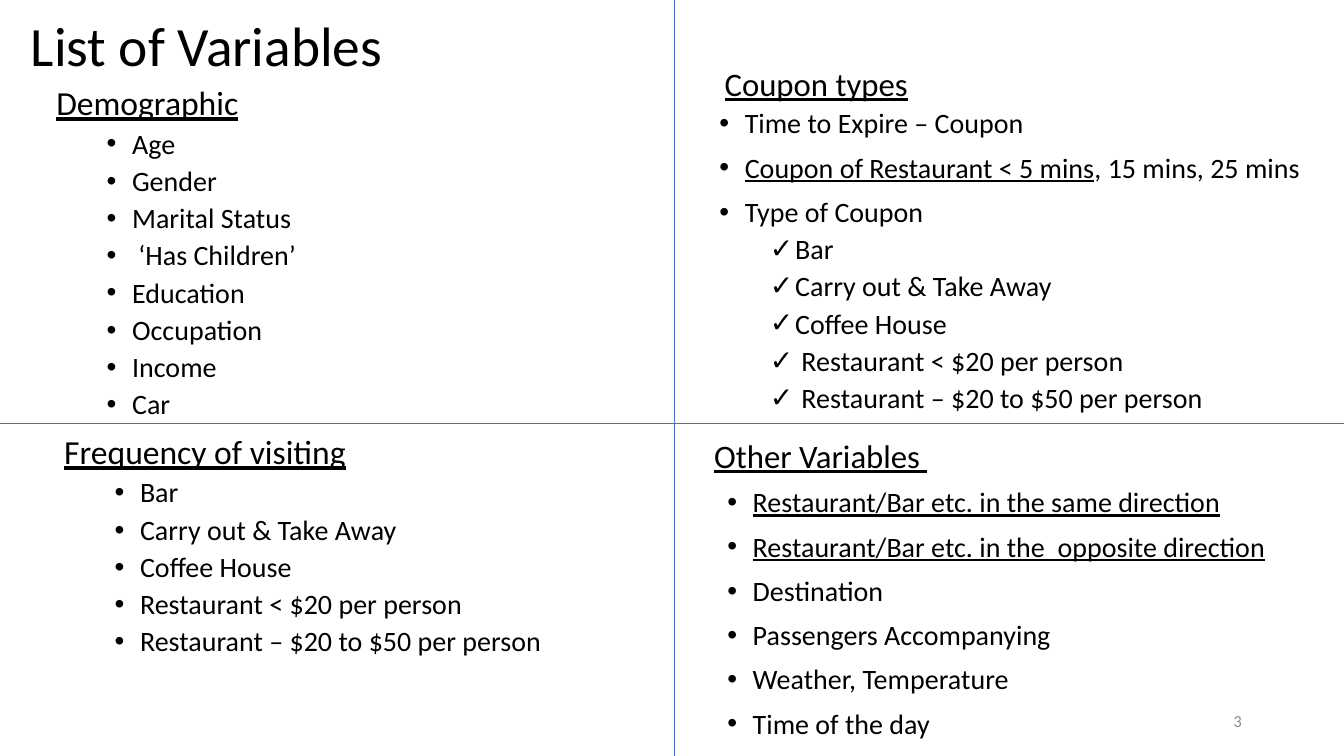
from dataclasses import dataclass

from lxml.etree import SubElement
from pptx import Presentation
from pptx.dml.color import RGBColor
from pptx.enum.shapes import MSO_CONNECTOR
from pptx.enum.text import MSO_ANCHOR, PP_ALIGN
from pptx.oxml.ns import qn
from pptx.slide import Slide
from pptx.util import Cm, Pt


@dataclass(frozen=True)
class Theme:
    font: str = "Calibri"
    bullet_font: str = "Arial"
    ink: RGBColor = RGBColor(0x00, 0x00, 0x00)
    muted: RGBColor = RGBColor(0x8C, 0x8C, 0x8C)
    divider: RGBColor = RGBColor(0x44, 0x72, 0xC4)
    title_size: float = 39.6
    list_heading_size: float = 24
    heading_size: float = 23.4
    item_size: float = 20
    number_size: float = 12
    divider_width: float = 0.5


THEME = Theme()


@dataclass(frozen=True)
class Span:
    text: str
    underline: bool = False


@dataclass(frozen=True)
class Line:
    spans: tuple[Span, ...]
    size: float = THEME.item_size
    color: RGBColor = THEME.ink
    bullet: str = ""
    indent: float = 0
    space_before: float = 10
    spacing: float = 0.9
    align: PP_ALIGN = PP_ALIGN.LEFT


@dataclass(frozen=True)
class TextBlock:
    left: float
    top: float
    width: float
    height: float
    lines: tuple[Line, ...]
    anchor: MSO_ANCHOR = MSO_ANCHOR.TOP


@dataclass(frozen=True)
class Divider:
    start: tuple[float, float]
    end: tuple[float, float]


PAGE_WIDTH, PAGE_HEIGHT = 33.87, 19.05
LIST_HEIGHT = 7.44
HEADING_WIDTH, HEADING_HEIGHT = 8.94, 1.37
MIDDLE_X, MIDDLE_Y = 16.99, 10.67
LOWER_TOP = 10.85
BULLET_HANG = 0.64


def heading(text: str, size: float = THEME.heading_size) -> Line:
    return Line((Span(text, underline=True),), size)


def item(*spans: Span) -> Line:
    return Line(spans, bullet="•", indent=0.64)


def sub_items(texts: tuple[str, ...], bullet: str = "•") -> tuple[Line, ...]:
    return tuple(Line((Span(text),), bullet=bullet, indent=1.91, space_before=5)
                 for text in texts)


def heading_block(left: float, top: float, text: str) -> TextBlock:
    return TextBlock(left, top, HEADING_WIDTH, HEADING_HEIGHT, (heading(text),),
                     MSO_ANCHOR.MIDDLE)


VENUES = ("Bar", "Carry out & Take Away", "Coffee House")
RESTAURANTS = ("Restaurant < $20 per person", "Restaurant – $20 to $50 per person")

BLOCKS = (
    TextBlock(0.53, 0.53, 29.21, HEADING_HEIGHT,
              (Line((Span("List of Variables"),), THEME.title_size),),
              MSO_ANCHOR.MIDDLE),
    TextBlock(1.17, 2.06, 12.52, LIST_HEIGHT, (
        heading("Demographic", THEME.list_heading_size),
        *sub_items(("Age", "Gender", "Marital Status", " ‘Has Children’",
                    "Education", "Occupation", "Income", "Car")),
    )),
    heading_block(18.01, 1.47, "Coupon types"),
    TextBlock(17.88, 2.64, 16.1, LIST_HEIGHT, (
        item(Span("Time to Expire – Coupon")),
        item(Span("Coupon of Restaurant < 5 mins", underline=True),
             Span(", 15 mins, 25 mins")),
        item(Span("Type of Coupon")),
        *sub_items(VENUES + tuple(f" {name}" for name in RESTAURANTS), "✓"),
    )),
    TextBlock(1.37, LOWER_TOP, 14.76, LIST_HEIGHT, (
        heading("Frequency of visiting", THEME.list_heading_size),
        *sub_items(VENUES + RESTAURANTS),
    )),
    heading_block(17.75, LOWER_TOP, "Other Variables "),
    TextBlock(18.08, 12.19, 14.45, LIST_HEIGHT, (
        item(Span("Restaurant/Bar etc. in the same direction", underline=True)),
        item(Span("Restaurant/Bar etc. in the  opposite direction", underline=True)),
        item(Span("Destination")),
        item(Span("Passengers Accompanying")),
        item(Span("Weather, Temperature")),
        item(Span("Time of the day")),
    )),
    TextBlock(23.93, 17.65, 7.62, 1.02,
              (Line((Span("3"),), THEME.number_size, THEME.muted,
                    spacing=1.0, align=PP_ALIGN.RIGHT),),
              MSO_ANCHOR.MIDDLE),
)

DIVIDERS = (
    Divider((MIDDLE_X, 0), (MIDDLE_X, PAGE_HEIGHT)),
    Divider((0, MIDDLE_Y), (PAGE_WIDTH, MIDDLE_Y)),
)


def add_bullet(paragraph, line: Line) -> None:
    """Give the paragraph a bullet character with a hanging indent."""
    properties = paragraph._p.get_or_add_pPr()
    properties.set("marL", str(Cm(line.indent)))
    properties.set("indent", str(-Cm(BULLET_HANG)))
    SubElement(properties, qn("a:buFont"), typeface=THEME.bullet_font)
    SubElement(properties, qn("a:buChar"), char=line.bullet)


def add_text_block(page: Slide, block: TextBlock) -> None:
    box = page.shapes.add_textbox(Cm(block.left), Cm(block.top),
                                  Cm(block.width), Cm(block.height))
    frame = box.text_frame
    frame.word_wrap = True
    frame.vertical_anchor = block.anchor
    for index, line in enumerate(block.lines):
        paragraph = frame.add_paragraph() if index else frame.paragraphs[0]
        paragraph.alignment = line.align
        paragraph.line_spacing = line.spacing
        if index:
            paragraph.space_before = Pt(line.space_before)
        if line.bullet:
            add_bullet(paragraph, line)
        paragraph.font.name = THEME.font
        paragraph.font.size = Pt(line.size)
        paragraph.font.color.rgb = line.color
        for span in line.spans:
            run = paragraph.add_run()
            run.text = span.text
            if span.underline:
                run.font.underline = True


def add_divider(page: Slide, divider: Divider) -> None:
    connector = page.shapes.add_connector(
        MSO_CONNECTOR.STRAIGHT,
        *(Cm(value) for value in divider.start + divider.end))
    connector.line.color.rgb = THEME.divider
    connector.line.width = Pt(THEME.divider_width)
    SubElement(connector._element.spPr, qn("a:effectLst"))


def main() -> None:
    deck = Presentation()
    deck.slide_width, deck.slide_height = Cm(PAGE_WIDTH), Cm(PAGE_HEIGHT)
    page = deck.slides.add_slide(deck.slide_layouts[6])
    for block in BLOCKS:
        add_text_block(page, block)
    for divider in DIVIDERS:
        add_divider(page, divider)
    deck.save("out.pptx")


if __name__ == "__main__":
    main()
